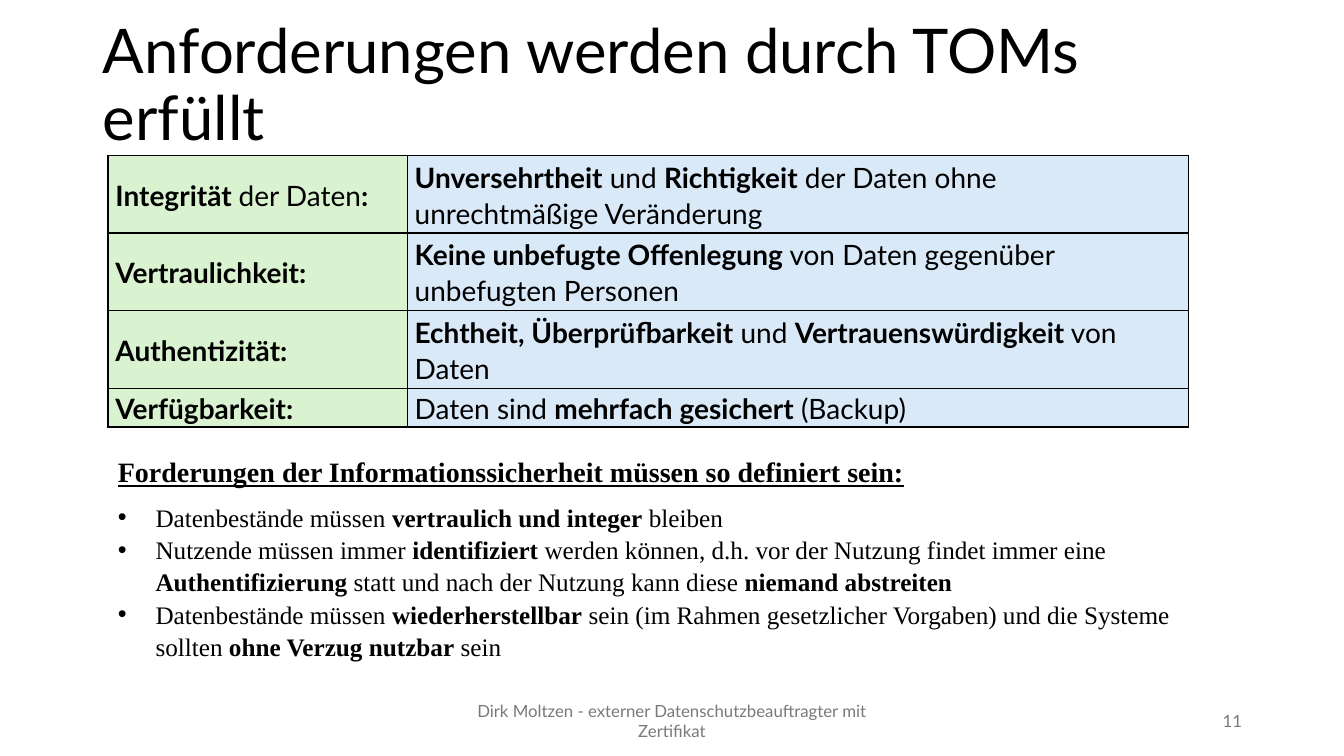
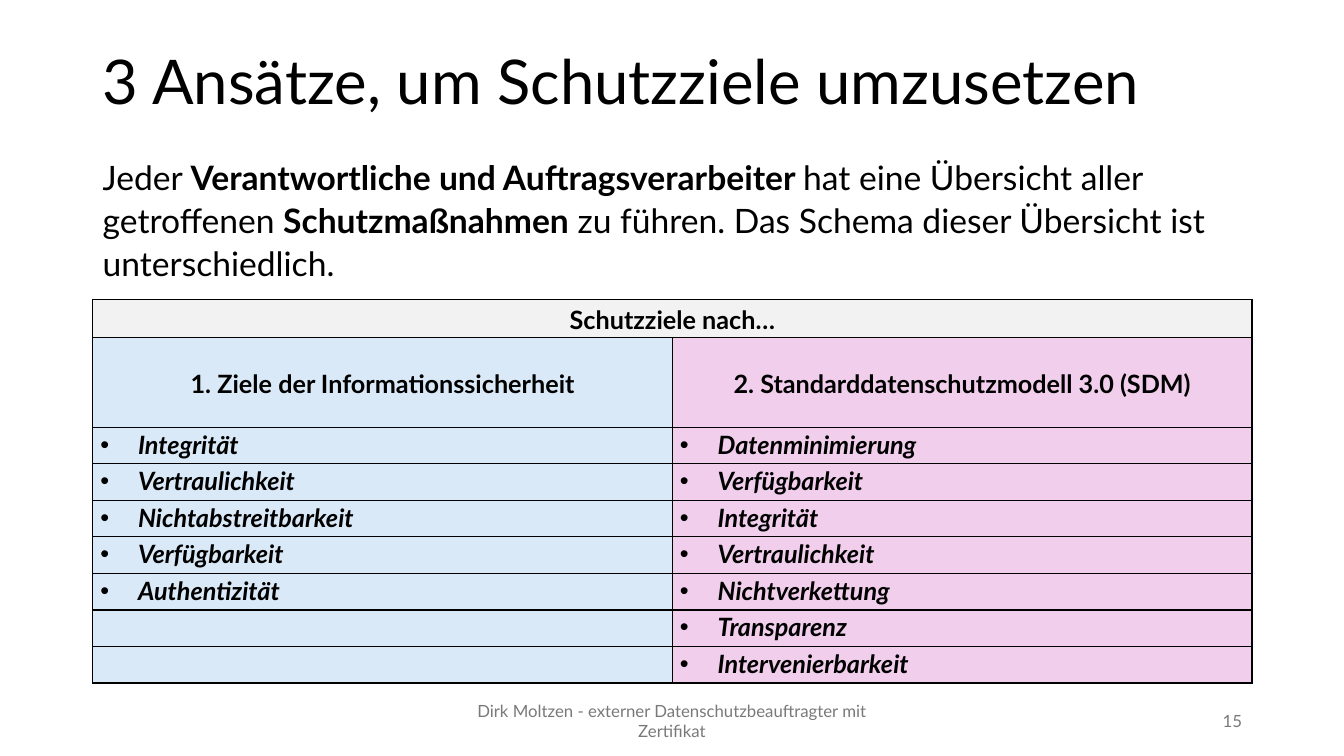
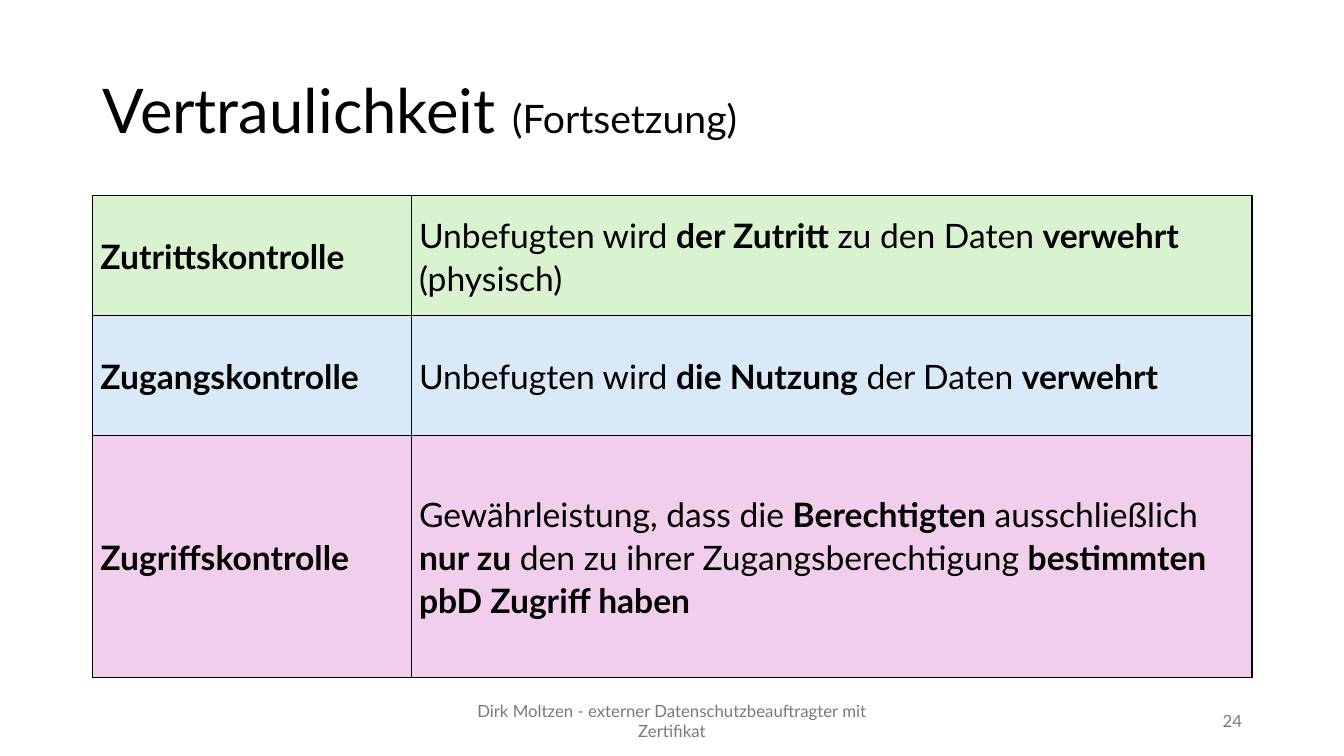
from lxml.etree import SubElement
from pptx import Presentation
from pptx.dml.color import RGBColor
from pptx.enum.text import MSO_ANCHOR, MSO_AUTO_SIZE, PP_ALIGN
from pptx.oxml import parse_xml
from pptx.oxml.ns import nsdecls, qn
from pptx.util import Cm, Pt

GREEN, BLUE, PINK, GREY = "D9F2D0", "DAE9F7", "F2CEED", "F2F2F2"
BLACK, FOOTER_GREY = "000000", "797979"
SANS, SERIF = "Lato", "Times New Roman"
LEFT, CONTENT_WIDTH = 2.34, 29.21
BODY_SPACING = 1.07
BULLET_INDENT = Cm(0.95)
FOOTER_TEXT = "Dirk Moltzen - externer Datenschutzbeauftragter mit Zertifikat"


def color(value):
    return RGBColor.from_string(value)


def add_bullet(paragraph):
    properties = paragraph._p.get_or_add_pPr()
    properties.set("marL", str(BULLET_INDENT))
    properties.set("indent", str(-BULLET_INDENT))
    SubElement(properties, qn("a:buFont"), typeface="Arial")
    SubElement(properties, qn("a:buChar"), char="•")


def write_text(paragraph, text, size=18, font=SANS, fill=BLACK, bold=False, italic=False,
               underline=False, align=PP_ALIGN.LEFT, spacing=BODY_SPACING, after=0,
               bullet=False, marked_bold=True, marked_size=None):
    if bullet:
        add_bullet(paragraph)
    paragraph.alignment = align
    paragraph.line_spacing = spacing
    paragraph.space_after = Pt(after)
    for index, part in enumerate(text.split("**")):
        if not part:
            continue
        marked = index % 2 == 1
        run = paragraph.add_run()
        run.text = part
        run.font.name = font
        run.font.size = Pt(marked_size if marked and marked_size else size)
        run.font.bold = bold or (marked and marked_bold)
        run.font.italic = italic
        run.font.underline = underline
        run.font.color.rgb = color(fill)


def add_text_frame(slide, left, top, width, height, anchor=MSO_ANCHOR.TOP):
    text_frame = slide.shapes.add_textbox(Cm(left), Cm(top), Cm(width), Cm(height)).text_frame
    text_frame.word_wrap = True
    text_frame.vertical_anchor = anchor
    return text_frame


def add_footer(slide, number):
    entries = (
        (11.22, 11.43, FOOTER_TEXT, PP_ALIGN.CENTER),
        (23.93, 7.62, str(number), PP_ALIGN.RIGHT),
    )
    for left, width, text, align in entries:
        text_frame = add_text_frame(slide, left, 17.65, width, 1.02, MSO_ANCHOR.MIDDLE)
        write_text(text_frame.paragraphs[0], text, size=12, fill=FOOTER_GREY, align=align, spacing=1.0)


def add_titled_slide(presentation, title, title_height, number):
    slide = presentation.slides.add_slide(presentation.slide_layouts[5])
    shape = slide.shapes.title
    shape.left, shape.top = Cm(LEFT), Cm(1.02)
    shape.width, shape.height = Cm(CONTENT_WIDTH), Cm(title_height)
    text_frame = shape.text_frame
    text_frame.word_wrap = True
    text_frame.auto_size = MSO_AUTO_SIZE.NONE
    text_frame.vertical_anchor = MSO_ANCHOR.MIDDLE
    write_text(text_frame.paragraphs[0], title, size=44, spacing=0.9,
               marked_bold=False, marked_size=28)
    add_footer(slide, number)
    return slide


def add_cell_borders(cell):
    properties = cell._tc.get_or_add_tcPr()
    for index, side in enumerate(("lnL", "lnR", "lnT", "lnB")):
        properties.insert(index, parse_xml(
            f'<a:{side} {nsdecls("a")} w="{Pt(1)}"><a:solidFill>'
            f'<a:srgbClr val="{BLACK}"/></a:solidFill></a:{side}>'))


def fill_cell(cell, text, background, anchor=MSO_ANCHOR.MIDDLE, **text_format):
    cell.margin_left = cell.margin_right = Cm(0.19)
    cell.margin_top = cell.margin_bottom = 0
    cell.vertical_anchor = anchor
    cell.fill.solid()
    cell.fill.fore_color.rgb = color(background)
    add_cell_borders(cell)
    write_text(cell.text_frame.paragraphs[0], text, **text_format)


def add_plain_table(slide, left, top, column_widths, row_heights):
    table = slide.shapes.add_table(
        len(row_heights), len(column_widths), Cm(left), Cm(top),
        Cm(sum(column_widths)), Cm(sum(row_heights))).table
    table.first_row = False
    table.horz_banding = False
    for column, width in zip(table.columns, column_widths):
        column.width = Cm(width)
    for row, height in zip(table.rows, row_heights):
        row.height = Cm(height)
    return table


def add_definition_table(slide, left, top, column_widths, row_heights, definitions, row_colors, size):
    table = add_plain_table(slide, left, top, column_widths, row_heights)
    for row, (entry, backgrounds) in enumerate(zip(definitions, row_colors)):
        for column, (text, background) in enumerate(zip(entry, backgrounds)):
            fill_cell(table.cell(row, column), text, background, size=size)


def add_goals_table(slide, left, top, width, heading, approaches):
    goal_count = max(len(goals) for _, _, goals in approaches)
    table = add_plain_table(slide, left, top, [width / len(approaches)] * len(approaches),
                            [0.97, 2.26] + [0.92] * goal_count)
    table.cell(0, 0).merge(table.cell(0, len(approaches) - 1))
    for column, (name, background, goals) in enumerate(approaches):
        fill_cell(table.cell(0, column), "" if column else heading, GREY,
                  bold=True, align=PP_ALIGN.CENTER)
        fill_cell(table.cell(1, column), name, background, bold=True, align=PP_ALIGN.CENTER)
        for index in range(goal_count):
            goal = goals[index] if index < len(goals) else ""
            fill_cell(table.cell(index + 2, column), goal, background, MSO_ANCHOR.TOP,
                      bold=True, italic=True, bullet=bool(goal))


def add_demands(slide, left, top, width, height, heading, demands):
    text_frame = add_text_frame(slide, left, top, width, height)
    write_text(text_frame.paragraphs[0], heading, size=20, font=SERIF, bold=True,
               underline=True, after=8)
    for demand in demands:
        write_text(text_frame.add_paragraph(), demand, font=SERIF, bullet=True)


def build_requirements_slide(presentation):
    slide = add_titled_slide(presentation, "Anforderungen werden durch TOMs erfüllt", 2.34, 11)
    definitions = (
        ("**Integrität **der Daten**:**",
         "**Unversehrtheit** und **Richtigkeit** der Daten ohne unrechtmäßige Veränderung"),
        ("**Vertraulichkeit:**",
         "**Keine unbefugte Offenlegung** von Daten gegenüber unbefugten Personen"),
        ("**Authentizität:**",
         "**Echtheit, Überprüfbarkeit** und **Vertrauenswürdigkeit** von Daten"),
        ("**Verfügbarkeit:**", "Daten sind **mehrfach gesichert** (Backup)"),
    )
    add_definition_table(slide, 2.72, 3.91, (7.54, 19.69), (1.96, 1.96, 1.96, 0.97),
                         definitions, [(GREEN, BLUE)] * len(definitions), 20)
    add_demands(slide, 2.72, 11.28, 28.42, 5.54,
                "Forderungen der Informationssicherheit müssen so definiert sein:", (
                    "Datenbestände müssen **vertraulich und integer** bleiben",
                    "Nutzende müssen immer **identifiziert** werden können, d.h. vor der Nutzung "
                    "findet immer eine **Authentifizierung** statt und nach der Nutzung kann "
                    "diese **niemand abstreiten**",
                    "Datenbestände müssen **wiederherstellbar** sein (im Rahmen gesetzlicher "
                    "Vorgaben) und die Systeme sollten **ohne Verzug nutzbar** sein",
                ))


def build_approaches_slide(presentation):
    slide = add_titled_slide(presentation, "3 Ansätze, um Schutzziele umzusetzen", 2.24, 15)
    introduction = add_text_frame(slide, LEFT, 3.76, CONTENT_WIDTH, 3.6)
    write_text(introduction.paragraphs[0],
               "Jeder **Verantwortliche und Auftragsverarbeiter **hat eine Übersicht aller "
               "getroffenen **Schutzmaßnahmen** zu führen. Das Schema dieser Übersicht ist "
               "unterschiedlich.", size=24)
    add_goals_table(slide, LEFT, 7.54, CONTENT_WIDTH, "Schutzziele nach…", (
        ("1. Ziele der Informationssicherheit", BLUE,
         ("Integrität", "Vertraulichkeit", "Nichtabstreitbarkeit", "Verfügbarkeit",
          "Authentizität")),
        ("2. Standarddatenschutzmodell 3.0 (SDM)", PINK,
         ("Datenminimierung", "Verfügbarkeit", "Integrität", "Vertraulichkeit",
          "Nichtverkettung", "Transparenz", "Intervenierbarkeit")),
    ))


def build_confidentiality_slide(presentation):
    slide = add_titled_slide(presentation, "Vertraulichkeit **(Fortsetzung)**", 3.68, 24)
    definitions = (
        ("**Zutrittskontrolle**",
         "Unbefugten wird **der Zutritt** zu den Daten **verwehrt **(physisch)"),
        ("**Zugangskontrolle**", "Unbefugten wird **die Nutzung** der Daten **verwehrt**"),
        ("**Zugriffskontrolle**",
         "Gewährleistung, dass die **Berechtigten** ausschließlich **nur zu** den zu ihrer "
         "Zugangsberechtigung **bestimmten pbD Zugriff haben**"),
    )
    add_definition_table(slide, LEFT, 4.93, (8.03, 21.18), (3.02, 3.02, 6.1), definitions,
                         [(background,) * 2 for background in (GREEN, BLUE, PINK)], 24)


def main():
    presentation = Presentation()
    presentation.slide_width, presentation.slide_height = Cm(33.87), Cm(19.05)
    build_requirements_slide(presentation)
    build_approaches_slide(presentation)
    build_confidentiality_slide(presentation)
    presentation.save("out.pptx")


if __name__ == "__main__":
    main()
